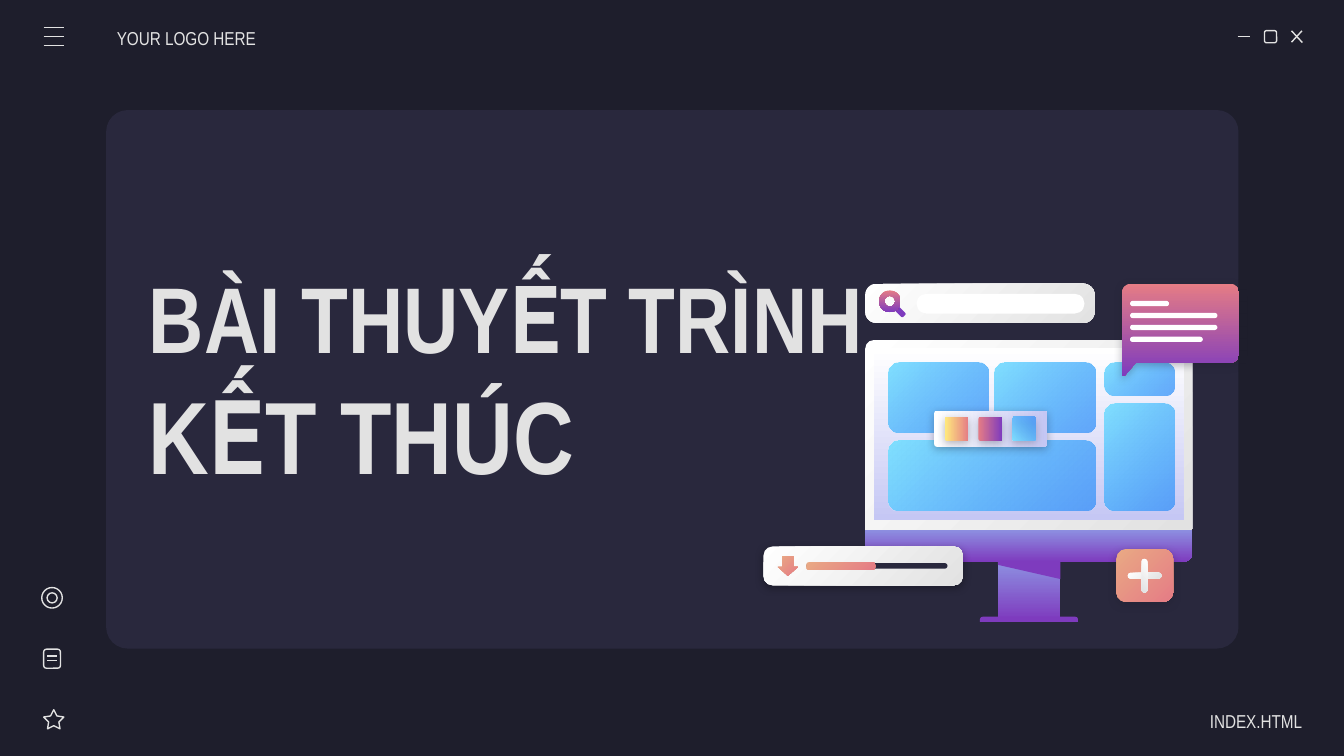
import math

import pptx
import pptx.dml.color
import pptx.enum.shapes
import pptx.enum.text
import pptx.oxml
import pptx.oxml.ns
import pptx.util

Pt = pptx.util.Pt
RGB = pptx.dml.color.RGBColor.from_string
MSO = pptx.enum.shapes.MSO_SHAPE
ALIGN = pptx.enum.text.PP_ALIGN
qn = pptx.oxml.ns.qn

COLOURS = {
    "night": "1E1E2C", "panel": "29283D", "silver": "E2E2E2", "white": "FFFFFF",
    "lavender": "C5C7F4", "periwinkle": "8D90E1", "purple": "7E3BBE",
    "sky": "80DFFF", "blue": "318FFA", "pink": "E57C85", "peach": "E9A984",
    "yellow": "FFEA7D", "black": "000000",
}
FONT = "Arial Narrow"
METAL = ("white", "silver")
VIOLET = ("periwinkle", "purple")
SKY = ("sky", "blue")
CORAL = ("peach", "pink")
BERRY = ("pink", "purple")

deck = pptx.Presentation()
deck.slide_width, deck.slide_height = Pt(720), Pt(405)
slide = deck.slides.add_slide(deck.slide_layouts[6])
slide.background.fill.solid()
slide.background.fill.fore_color.rgb = RGB(COLOURS["night"])


def paint(shape, fill, angle=45, shadow=None):
    """Fill with one colour, a (start, end) gradient turned clockwise, or an outline if None."""
    shape.shadow.inherit = False
    if fill is None:
        shape.fill.background()
        shape.line.color.rgb = RGB(COLOURS["silver"])
        shape.line.width = Pt(0.75)
        return
    shape.line.fill.background()
    if isinstance(fill, str):
        shape.fill.solid()
        shape.fill.fore_color.rgb = RGB(COLOURS[fill])
    else:
        shape.fill.gradient()
        shape.fill.gradient_angle = (360 - angle) % 360
        for stop, name in zip(shape.fill.gradient_stops, fill):
            stop.color.rgb = RGB(COLOURS[name])
    properties = shape._element.spPr
    for colour in properties.iter(qn("a:srgbClr")):
        if colour.get("val") == COLOURS["blue"]:
            colour.append(pptx.oxml.parse_xml(
                f'<a:alpha {pptx.oxml.ns.nsdecls("a")} val="72000"/>'))
    if shadow:
        properties.find(qn("a:effectLst")).append(pptx.oxml.parse_xml(
            f'<a:outerShdw {pptx.oxml.ns.nsdecls("a")} blurRad="{Pt(4.5)}" dist="{Pt(1.5)}" '
            f'dir="5400000" algn="t" rotWithShape="0"><a:srgbClr val="{COLOURS[shadow]}">'
            '<a:alpha val="30000"/></a:srgbClr></a:outerShdw>'))


def draw(kind, box, fill, adjust=(), angle=45, shadow=None, turn=0):
    shape = slide.shapes.add_shape(kind, *map(Pt, box))
    for index, value in enumerate(adjust):
        shape.adjustments[index] = value
    shape.rotation = turn
    paint(shape, fill, angle, shadow)


# Window frame and icons
draw(MSO.ROUNDED_RECTANGLE, (56.9, 59, 606.6, 288.5), "panel", [0.04])
draw(MSO.ROUNDED_RECTANGLE, (677.4, 16.4, 6.5, 6.5), None, [0.167])
draw(MSO.STAR_5_POINT, (23.4, 380.2, 10.8, 10.3), None, [0.254])
draw(MSO.ROUNDED_RECTANGLE, (23.4, 347.8, 9, 10.2), None, [0.167])
draw(MSO.OVAL, (22.4, 314.8, 11, 11), None)
draw(MSO.OVAL, (25.2, 317.6, 5.4, 5.4), None)

menu_strokes = [(23.4, 14.6 + 4.9 * i, 34.2, 14.6 + 4.9 * i) for i in range(3)]
document_strokes = [(25.2, y, 30.4, y) for y in (351.5, 354)]
window_strokes = [(663.1, 19.6, 669.6, 19.6), (691.9, 16.5, 697.7, 22.8), (697.5, 16.5, 691.9, 22.6)]
for stroke in menu_strokes + document_strokes + window_strokes:
    icon_line = slide.shapes.add_connector(pptx.enum.shapes.MSO_CONNECTOR.STRAIGHT, *map(Pt, stroke))
    icon_line.line.color.rgb = RGB(COLOURS["silver"])
    icon_line.line.width = Pt(0.75)
    icon_line._element.spPr.append(pptx.oxml.parse_xml(
        f'<a:effectLst {pptx.oxml.ns.nsdecls("a")}/>'))

# Texts: box, left and right inset, alignment, line spacing, bold, runs with sizes
texts = [
    ((62.6, 8.6, 84.2, 21.6), 0, 7.2, ALIGN.LEFT, 1.15, False, [("YOUR LOGO HERE", 10)]),
    ((613.4, 374.4, 84.2, 21.6), 7.2, 0, ALIGN.RIGHT, 1.15, False, [("INDEX.HTML", 10)]),
    ((72.7, 95, 402.5, 214.6), 7.2, 7.2, ALIGN.LEFT, 1, True,
     [("BÀI THUYẾT TRÌNH ", 50), ("KẾT THÚC", 55)]),
]
for box, left, right, align, spacing, bold, parts in texts:
    frame = slide.shapes.add_textbox(*map(Pt, box)).text_frame
    frame.word_wrap = True
    frame.vertical_anchor = pptx.enum.text.MSO_ANCHOR.MIDDLE
    frame.margin_left, frame.margin_right = Pt(left), Pt(right)
    frame.margin_top = frame.margin_bottom = Pt(7.2)
    paragraph = frame.paragraphs[0]
    paragraph.alignment, paragraph.line_spacing = align, spacing
    for words, size in parts:
        run = paragraph.add_run()
        run.text = words
        run.font.name, run.font.size, run.font.bold = FONT, Pt(size), bold
        run.font.color.rgb = RGB(COLOURS["silver"])

# Monitor
draw(MSO.ROUND_2_SAME_RECTANGLE, (463.5, 182.2, 175.2, 101.6), METAL, [0.046, 0])
draw(MSO.ROUND_2_SAME_RECTANGLE, (463.5, 283.8, 175.2, 17.2), VIOLET, [0, 0.27], 90)
draw(MSO.RECTANGLE, (468.2, 186.5, 165.9, 92.2), ("white", "lavender"), angle=90)
draw(MSO.RECTANGLE, (534.6, 301, 33.5, 31.3), VIOLET, angle=90)
draw(MSO.ROUND_2_SAME_RECTANGLE, (525, 330.4, 52.5, 2.8), "purple", [0.5, 0])

stand_shade = slide.shapes.build_freeform(Pt(534.6), Pt(300.6), scale=1)
stand_shade.add_line_segments(
    [(Pt(x), Pt(y)) for x, y in [(534.6, 302.6), (568.1, 310.2), (568.1, 300.6)]])
paint(stand_shade.convert_to_shape(), "purple")

TILE_RADIUS = 5.3
for tile in [(475.9, 194.4, 53.5, 37.5), (475.9, 236.2, 110.7, 37.5), (533, 194.4, 53.6, 37.5),
             (591.8, 194.4, 37.6, 17.3), (591.8, 216, 37.6, 57.7)]:
    draw(MSO.ROUNDED_RECTANGLE, tile, SKY, [TILE_RADIUS / min(tile[2:])])

# Speech bubble: three rounded corners, then the tail
RADIUS = 4.7
left, top, right, bottom = 601.2, 152, 663.7, 194.4
corners = [(left + RADIUS, top + RADIUS, 180), (right - RADIUS, top + RADIUS, 270),
           (right - RADIUS, bottom - RADIUS, 0)]
outline = [(x + RADIUS * math.cos(math.radians(start + step)),
            y + RADIUS * math.sin(math.radians(start + step)))
           for x, y, start in corners for step in range(0, 91, 15)]
outline += [(608.4, bottom), (602.8, 201), (601.8, 201.6), (left, 200.6)]
outline = [(Pt(x), Pt(y)) for x, y in outline]
bubble = slide.shapes.build_freeform(*outline[0], scale=1)
bubble.add_line_segments(outline[1:])
paint(bubble.convert_to_shape(), BERRY, 90, "night")
for row, width in enumerate([20.9, 46.8, 46.8, 39]):
    draw(MSO.ROUNDED_RECTANGLE, (605.4, 161.2 + 6.4 * row, width, 2.8), "white", [0.5])

# Download bar
draw(MSO.ROUNDED_RECTANGLE, (409, 292.8, 106.8, 20.8), METAL, [0.237], shadow="black")
draw(MSO.ROUNDED_RECTANGLE, (432, 301.7, 75.6, 3), "panel", [0.5])
draw(MSO.ROUNDED_RECTANGLE, (432, 301.2, 36.8, 4.1), CORAL, [0.3])
draw(MSO.DOWN_ARROW, (416.7, 298, 10.8, 10.5), CORAL, [0.55, 0.45])

# Plus button
draw(MSO.ROUNDED_RECTANGLE, (598.1, 294.2, 30.4, 28.3), CORAL, [0.183], shadow="night")
for turn in (0, 90):
    draw(MSO.ROUNDED_RECTANGLE, (604.1, 306.8, 18.1, 3.2), METAL, [0.5], turn=turn)

# Colour swatches
draw(MSO.ROUNDED_RECTANGLE, (500.5, 220, 60.5, 19.4), ("white", "lavender"), [0.073], 0, "night")
for column, (fill, angle) in enumerate([(("yellow", "pink"), 0), (BERRY, 0), (SKY, 315)]):
    draw(MSO.ROUNDED_RECTANGLE, (506.2 + 18 * column, 223.4, 12.7, 12.6), fill, [0.073], angle, "night")

# Search bar
draw(MSO.ROUNDED_RECTANGLE, (463.5, 152, 122.9, 21), METAL, [0.286])
draw(MSO.ROUNDED_RECTANGLE, (478.2, 165.2, 7.3, 3), "purple", [0.3], turn=45)
draw(MSO.DONUT, (470.9, 155.6, 11.6, 11.6), BERRY, [0.25], 90)
draw(MSO.ROUNDED_RECTANGLE, (491, 157.4, 90, 10.6), "white", [0.5])

deck.save("out.pptx")
